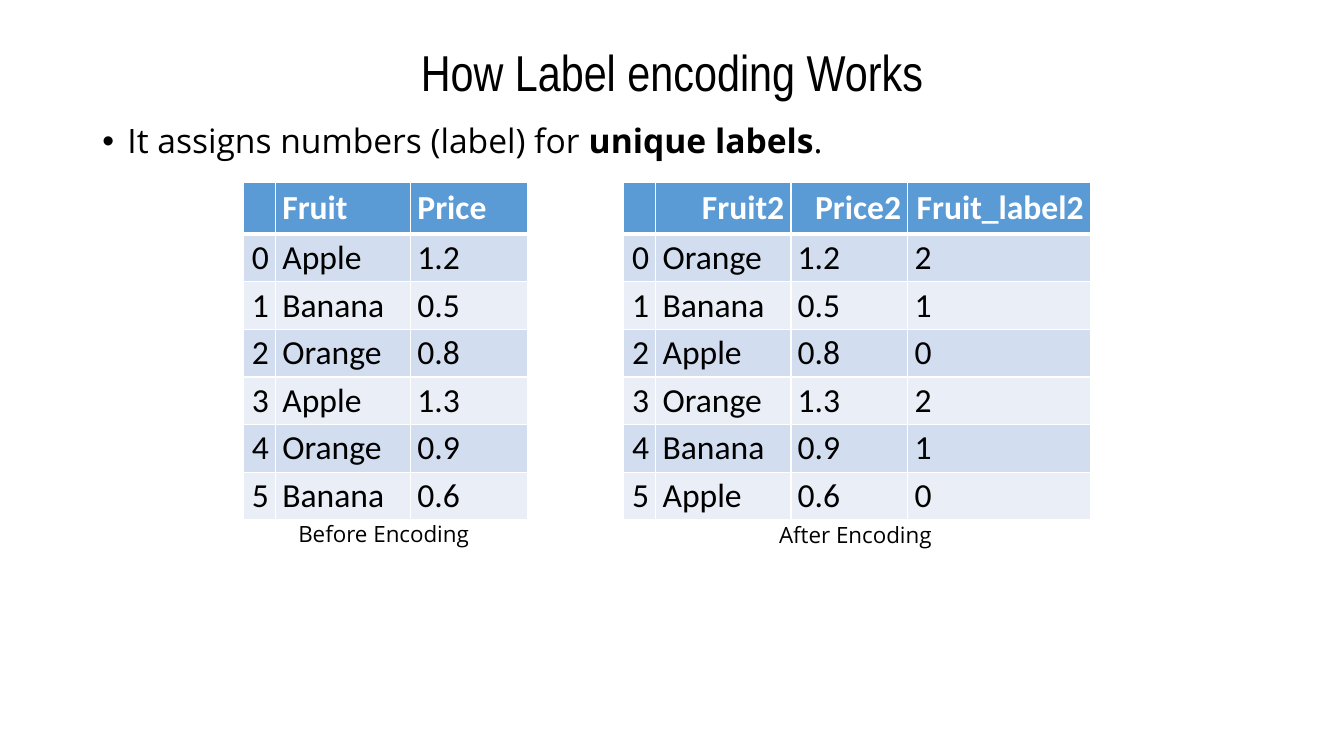
from lxml import etree
from pptx import Presentation
from pptx.dml.color import RGBColor
from pptx.enum import text as t
from pptx.oxml import ns
from pptx.util import Pt

BLACK = RGBColor(0x00, 0x00, 0x00)
WHITE = RGBColor(0xFF, 0xFF, 0xFF)
BLUE = RGBColor(0x5B, 0x9B, 0xD5)
BANDS = [RGBColor(0xD2, 0xDE, 0xEF), RGBColor(0xEA, 0xEF, 0xF7)]
LEFT, MID, RIGHT = t.PP_ALIGN.LEFT, t.PP_ALIGN.CENTER, t.PP_ALIGN.RIGHT

COLS = [23, 96.5, 83.5, 130.5]
HEAD, ROW = 37, 34
PRICES = ["1.2", "0.5", "0.8", "1.3", "0.9", "0.6"]
BEFORE = ["Apple", "Banana", "Orange", "Apple", "Orange", "Banana"]
AFTER = ["Orange", "Banana", "Apple"] * 2
CODES = {"Apple": "0", "Banana": "1", "Orange": "2"}


def write(frame, *runs, size=24, font="Open Sans", color=BLACK, bold=(),
          align=LEFT, line=None):
    """Fill the first paragraph; bold holds the indexes of bold runs."""
    para = frame.paragraphs[0]
    para.alignment = align
    para.line_spacing = line
    for i, words in enumerate(runs):
        run = para.add_run()
        run.text = words
        run.font.size = Pt(size)
        run.font.name = font
        run.font.color.rgb = color
        run.font.bold = i in bold
    return para


def add_text(slide, box, wrap=True, anchor=t.MSO_ANCHOR.TOP):
    frame = slide.shapes.add_textbox(*map(Pt, box)).text_frame
    frame.word_wrap = wrap
    frame.vertical_anchor = anchor
    return frame


def add_title(slide, box):
    frame = add_text(slide, box, anchor=t.MSO_ANCHOR.MIDDLE)
    write(frame, "How Label encoding Works", size=36, font="Arial Narrow",
          align=MID, line=0.9)


def add_body(slide, box):
    para = write(add_text(slide, box), "It assigns numbers (label) for ",
                 "unique labels", ".", bold=[1], line=0.9)
    para.space_before = Pt(10)
    # Hanging bullet
    props = para._p.get_or_add_pPr()
    props.set("marL", str(Pt(18)))
    props.set("indent", str(-Pt(18)))
    font = etree.SubElement(props, ns.qn("a:buFont"))
    font.set("typeface", "Arial")
    etree.SubElement(props, ns.qn("a:buChar")).set("char", "•")


def edge(cell, widths):
    """Draw white borders; widths maps a side (L, R, T, B) to points."""
    props = cell._tc.get_or_add_tcPr()
    for side, width in widths.items():
        line = etree.SubElement(props, ns.qn("a:ln" + side))
        line.set("w", str(Pt(width)))
        fill = etree.SubElement(line, ns.qn("a:solidFill"))
        etree.SubElement(fill, ns.qn("a:srgbClr")).set("val", str(WHITE))


def add_grid(slide, box, heads, rows, align):
    """Numbered rows under a header row, in banded colours."""
    data = [["", *heads]] + [[str(i), *row] for i, row in enumerate(rows)]
    grid = slide.shapes.add_table(len(data), len(data[0]),
                                  *map(Pt, box)).table
    grid.horz_banding = False
    for col, width in zip(grid.columns, COLS):
        col.width = Pt(width)
    for r, row in enumerate(data):
        top = r == 0
        grid.rows[r].height = Pt(HEAD if top else ROW)
        for c, words in enumerate(row):
            cell = grid.cell(r, c)
            edge(cell, {"L": 1, "R": 1, "T": 3 if r == 1 else 1,
                        "B": 3 if top else 1})
            cell.fill.solid()
            cell.fill.fore_color.rgb = BLUE if top else BANDS[(r - 1) % 2]
            cell.vertical_anchor = t.MSO_ANCHOR.MIDDLE
            cell.margin_left = cell.margin_right = Pt(4.8)
            cell.margin_top = cell.margin_bottom = Pt(2.3)
            if words:
                side = align if top else LEFT if c else RIGHT
                write(cell.text_frame, words, font="Calibri", align=side,
                      color=WHITE if top else BLACK, bold=[0] if top else ())


def add_note(slide, box, words):
    write(add_text(slide, box, wrap=False), words, size=16)


def main():
    deck = Presentation()
    deck.slide_width, deck.slide_height = Pt(960), Pt(540)
    slide = deck.slides.add_slide(deck.slide_layouts[6])

    # Heading and bullet
    add_title(slide, (66, 28.8, 828, 50.4))
    add_body(slide, (66, 85.7, 828, 400))

    # Tables
    high = HEAD + ROW * len(PRICES)
    add_grid(slide, (173.9, 130.3, sum(COLS[:3]), high), ["Fruit", "Price"],
             list(zip(BEFORE, PRICES)), LEFT)
    add_grid(slide, (445.5, 130.3, sum(COLS), high),
             ["Fruit2", "Price2", "Fruit_label2"],
             [(f, p, CODES[f]) for f, p in zip(AFTER, PRICES)], RIGHT)

    # Captions
    add_note(slide, (206, 368, 137.5, 26.6), "Before Encoding")
    add_note(slide, (549.4, 368.6, 124.5, 26.6), "After Encoding")

    deck.save("out.pptx")


if __name__ == "__main__":
    main()
